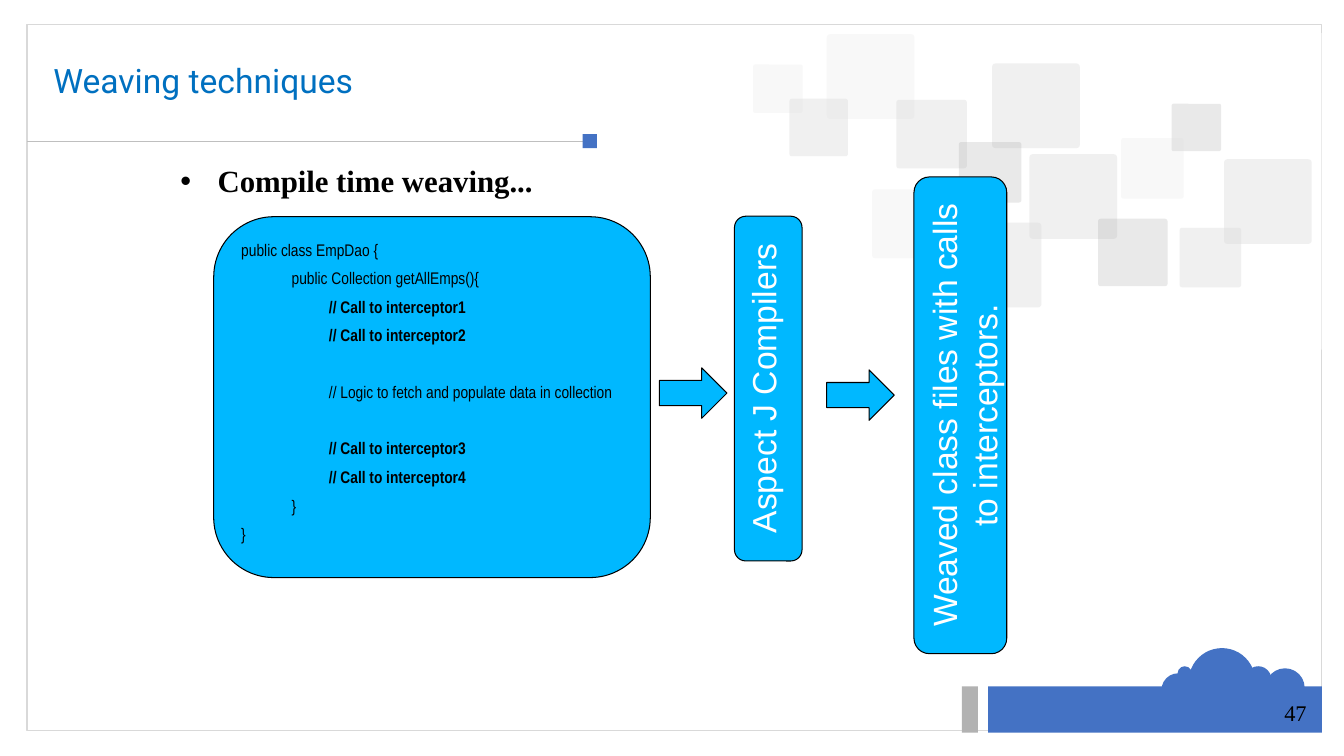
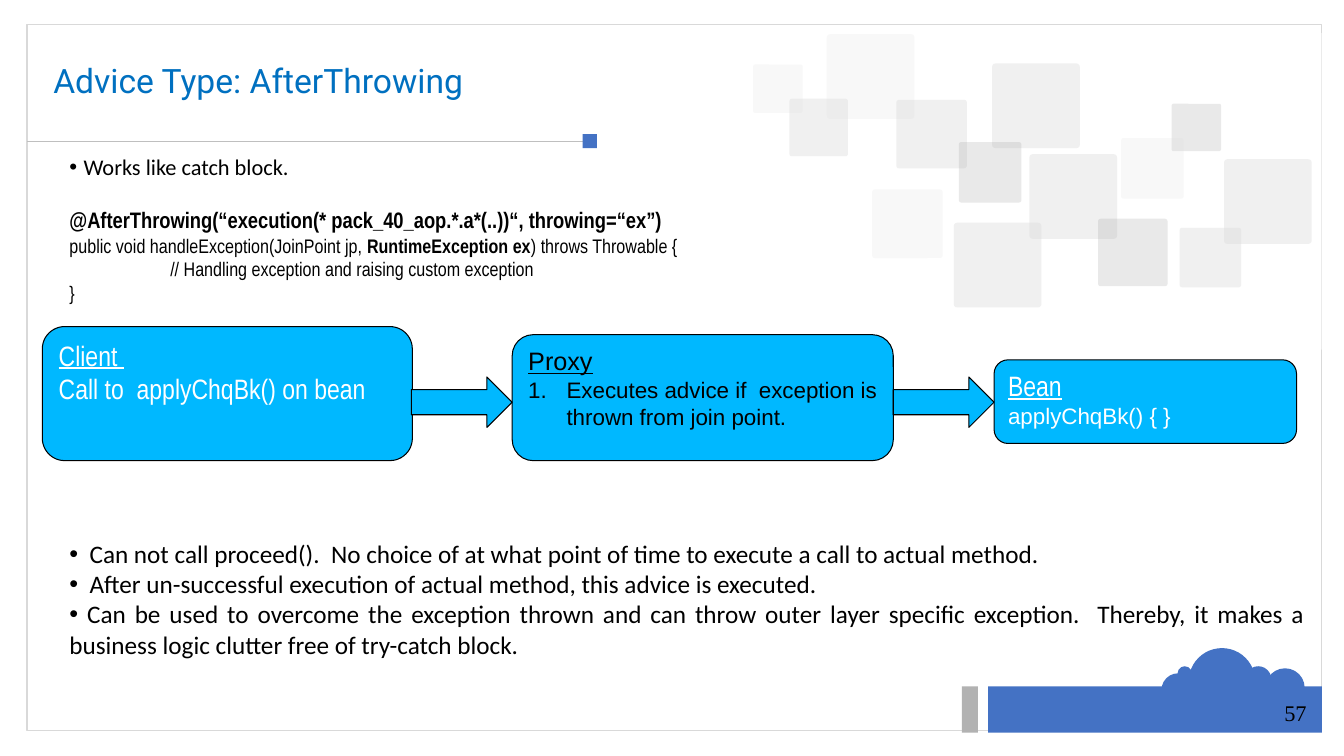
from dataclasses import dataclass

from lxml.etree import SubElement
from pptx import Presentation
from pptx.dml.color import RGBColor
from pptx.enum.shapes import MSO_CONNECTOR, MSO_SHAPE
from pptx.enum.text import MSO_ANCHOR, PP_ALIGN
from pptx.oxml.ns import qn
from pptx.util import Emu, Pt

EMU_PER_PX = 9144  # 100 px to the inch


@dataclass(frozen=True)
class Theme:
    accent: str = "4472C4"
    title: str = "0070C0"
    card: str = "00B8FF"
    frame: str = "D9D9D9"
    rule: str = "BFBFBF"
    gray: str = "B2B2B2"
    black: str = "000000"
    white: str = "FFFFFF"
    sans: str = "Arial"
    narrow: str = "Arial Narrow"
    body: str = "Calibri"
    heading: str = "Roboto"
    serif: str = "Times New Roman"
    huge: int = 24
    point: int = 22
    large: int = 20
    medium: int = 18
    normal: int = 16
    small: int = 14
    code: int = 12


THEME = Theme()


@dataclass
class Para:
    """One paragraph; spans is a text or a list of (text, bold) pairs."""
    spans: str | list
    size: int
    font: str = THEME.sans
    color: str = THEME.black
    bold: bool = False
    underline: bool = False
    margin: int = 0
    hang: int = 0
    before: int = 0
    bullet: str = ""
    align: PP_ALIGN = PP_ALIGN.LEFT
    line_spacing: float = 1.0


# left, top, width, height, colour, opacity in percent
TILES = [
    (820, 34, 87, 84, THEME.gray, 16), (984, 63, 87, 84, THEME.gray, 36),
    (946, 221, 87, 84, THEME.gray, 36), (1021, 153, 87, 84, THEME.gray, 36),
    (889, 99, 70, 68, THEME.gray, 36), (865, 188, 70, 68, THEME.gray, 16),
    (951, 141, 62, 60, THEME.black, 16), (1162, 103, 49, 47, THEME.black, 16),
    (1112, 137, 62, 60, THEME.gray, 16), (1089, 217, 69, 67, THEME.black, 16),
    (783, 98, 58, 57, THEME.gray, 35), (747, 64, 49, 48, THEME.gray, 16),
    (1214, 158, 87, 84, THEME.gray, 36), (1170, 226, 61, 59, THEME.gray, 36),
]
# left, top, diameter
CLOUD_PUFFS = [(1179, 643, 66), (1152, 668, 33), (1235, 661, 26),
               (1255, 663, 39), (1168, 661, 14)]


def px(length):
    return Emu(length * EMU_PER_PX)


def rgb(color):
    return RGBColor.from_string(color)


def add_block(page, kind, area, fill=None, line=None, weight=0.75, opacity=100):
    block = page.shapes.add_shape(kind, *map(px, area))
    block.shadow.inherit = False
    if fill:
        block.fill.solid()
        block.fill.fore_color.rgb = rgb(fill)
        if opacity < 100:
            color = block.fill._xPr.find(qn("a:solidFill"))[0]
            SubElement(color, qn("a:alpha"), val=str(opacity * 1000))
    else:
        block.fill.background()
    if line:
        block.line.color.rgb = rgb(line)
        block.line.width = Pt(weight)
    else:
        block.line.fill.background()
    return block


def set_bullet(properties, bullet):
    """Add a bullet sign, or automatic numbers when the bullet is "1."."""
    if bullet == "1.":
        SubElement(properties, qn("a:buAutoNum"), type="arabicPeriod")
    else:
        SubElement(properties, qn("a:buFont"), typeface=THEME.sans)
        SubElement(properties, qn("a:buChar"), char=bullet)


def set_font(font, item):
    font.name = item.font
    font.size = Pt(item.size)
    font.color.rgb = rgb(item.color)
    font.bold = item.bold
    font.underline = item.underline


def write(frame, items, anchor=MSO_ANCHOR.TOP, wrap=True):
    frame.word_wrap = wrap
    frame.vertical_anchor = anchor
    for index, item in enumerate(items):
        para = frame.add_paragraph() if index else frame.paragraphs[0]
        para.alignment = item.align
        para.line_spacing = item.line_spacing
        para.space_before = Pt(item.before)
        properties = para._p.get_or_add_pPr()
        properties.set("marL", str(px(item.margin)))
        properties.set("indent", str(px(-item.hang)))
        if item.bullet:
            set_bullet(properties, item.bullet)
        set_font(para.font, item)
        if isinstance(item.spans, str):
            para.add_run().text = item.spans
        else:
            for text, bold in item.spans:
                span = para.add_run()
                span.text = text
                span.font.bold = bold


def add_text(page, area, items, **options):
    box = page.shapes.add_textbox(*map(px, area))
    write(box.text_frame, items, **options)


def add_card(page, area, items, rotation=0):
    card = add_block(page, MSO_SHAPE.ROUNDED_RECTANGLE, area, THEME.card, THEME.black)
    card.rotation = rotation
    write(card.text_frame, items)


def add_arrow(page, area):
    add_block(page, MSO_SHAPE.RIGHT_ARROW, area, THEME.card, THEME.black)


def add_rule(page, left, right, y):
    rule = page.shapes.add_connector(
        MSO_CONNECTOR.STRAIGHT, px(left), px(y), px(right), px(y))
    rule.line.color.rgb = rgb(THEME.rule)
    rule.line.width = Pt(0.5)
    SubElement(rule._element.spPr, qn("a:effectLst"))


def add_page(deck, title, number):
    """Add a blank page with the shared decoration, title and page number."""
    page = deck.slides.add_slide(deck.slide_layouts[6])
    rectangle = MSO_SHAPE.RECTANGLE
    add_block(page, rectangle, (27, 24, 1284, 701), line=THEME.frame, weight=1)
    add_block(page, rectangle, (980, 681, 331, 46), THEME.accent)
    add_block(page, rectangle, (954, 681, 16, 46), THEME.gray)
    add_rule(page, 27, 578, 140)
    add_block(page, rectangle, (578, 133, 14, 14), THEME.accent)
    for *area, color, opacity in TILES:
        tile = add_block(page, MSO_SHAPE.ROUNDED_RECTANGLE, area, color, opacity=opacity)
        tile.adjustments[0] = 0.04
    add_block(page, rectangle, (712, 33, 599, 314), THEME.white, opacity=48)
    for left, top, size in CLOUD_PUFFS:
        add_block(page, MSO_SHAPE.OVAL, (left, top, size, size), THEME.accent)
    add_text(page, (1264, 689, 54, 37),
             [Para(str(number), THEME.normal, THEME.serif)], wrap=False)
    add_text(page, (43, 40, 1245, 84),
             [Para(title, THEME.huge, THEME.heading, THEME.title, line_spacing=0.9)],
             anchor=MSO_ANCHOR.MIDDLE)
    return page


def code_line(text, margin, bold=False, before=6):
    return Para(text, THEME.code, THEME.narrow, bold=bold, margin=margin, before=before)


def add_weaving_page(deck):
    page = add_page(deck, "Weaving techniques", 47)
    add_text(page, (169, 156, 883, 67), [
        Para("Compile time weaving...", THEME.point, THEME.serif, bold=True,
             margin=37, hang=37, bullet="•")])
    block_gap = 26
    add_card(page, (212, 215, 433, 358), [
        code_line("public class EmpDao {", 0, before=0),
        code_line("public Collection getAllEmps(){", 50),
        code_line("// Call to interceptor1", 87, bold=True),
        code_line("// Call to interceptor2", 87, bold=True),
        code_line("// Logic to fetch and populate data in collection", 87, before=block_gap),
        code_line("// Call to interceptor3", 87, bold=True, before=block_gap),
        code_line("// Call to interceptor4", 87, bold=True),
        code_line("}", 50),
        code_line("}", 0)])
    for area, label in (
            ((591, 352, 342, 67), "Aspect J Compilers"),
            ((716, 366, 473, 92), "Weaved class files with calls to interceptors.")):
        add_card(page, area, [Para(label, THEME.huge, color=THEME.white,
                                   align=PP_ALIGN.CENTER)], rotation=270)
    add_arrow(page, (654, 365, 67, 50))
    add_arrow(page, (820, 367, 67, 50))


def add_after_throwing_page(deck):
    page = add_page(deck, "Advice Type: AfterThrowing", 57)
    narrow, white = THEME.narrow, THEME.white
    add_text(page, (59, 147, 1245, 162), [
        Para("Works like catch block.", THEME.normal, THEME.body,
             margin=14, hang=14, bullet="•"),
        Para("@AfterThrowing(“execution(* pack_40_aop.*.a*(..))“, throwing=“ex”)",
             THEME.normal, narrow, bold=True, before=19),
        Para([("public void handleException(JoinPoint jp, ", False),
              ("RuntimeException ex", True),
              (") throws Throwable {", False)], THEME.small, narrow),
        Para("// Handling exception and raising custom exception",
             THEME.small, narrow, margin=100),
        Para("}", THEME.small, narrow)])

    add_card(page, (42, 324, 367, 133), [
        Para("Client ", THEME.large, narrow, white, underline=True),
        Para("Call to  applyChqBk() on bean", THEME.large, narrow, white)])
    add_card(page, (508, 332, 378, 125), [
        Para("Proxy", THEME.medium, underline=True),
        Para("Executes advice if  exception is thrown from join point.",
             THEME.normal, margin=38, hang=38, bullet="1.")])
    add_card(page, (986, 357, 300, 83), [
        Para("Bean", THEME.large, narrow, white, underline=True),
        Para("applyChqBk() { }", THEME.normal, color=white)])
    for left in (408, 886):
        add_arrow(page, (left, 374, 100, 50))

    add_text(page, (59, 529, 1245, 131), [
        Para(text, THEME.medium, THEME.body, margin=indent, hang=indent,
             bullet="•", align=PP_ALIGN.JUSTIFY)
        for text, indent in (
            ("Can not call proceed().  No choice of at what point of time "
             "to execute a call to actual method.", 20),
            ("After un-successful execution of actual method, "
             "this advice is executed.", 20),
            (" Can be used to overcome the exception thrown and can throw outer "
             "layer specific exception.  Thereby, it makes a business logic "
             "clutter free of try-catch block.", 0))])


def main():
    deck = Presentation()
    deck.slide_width, deck.slide_height = px(1333), px(750)
    add_weaving_page(deck)
    add_after_throwing_page(deck)
    deck.save("out.pptx")


if __name__ == "__main__":
    main()
